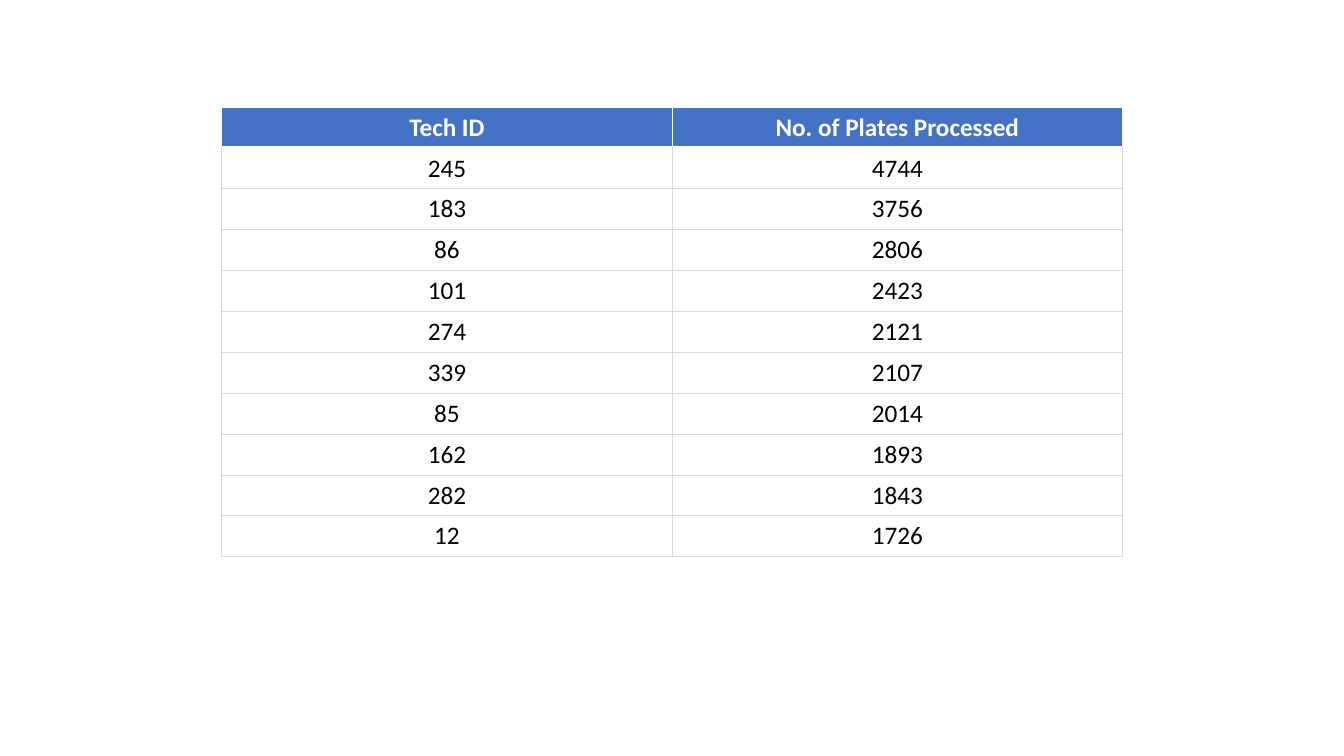
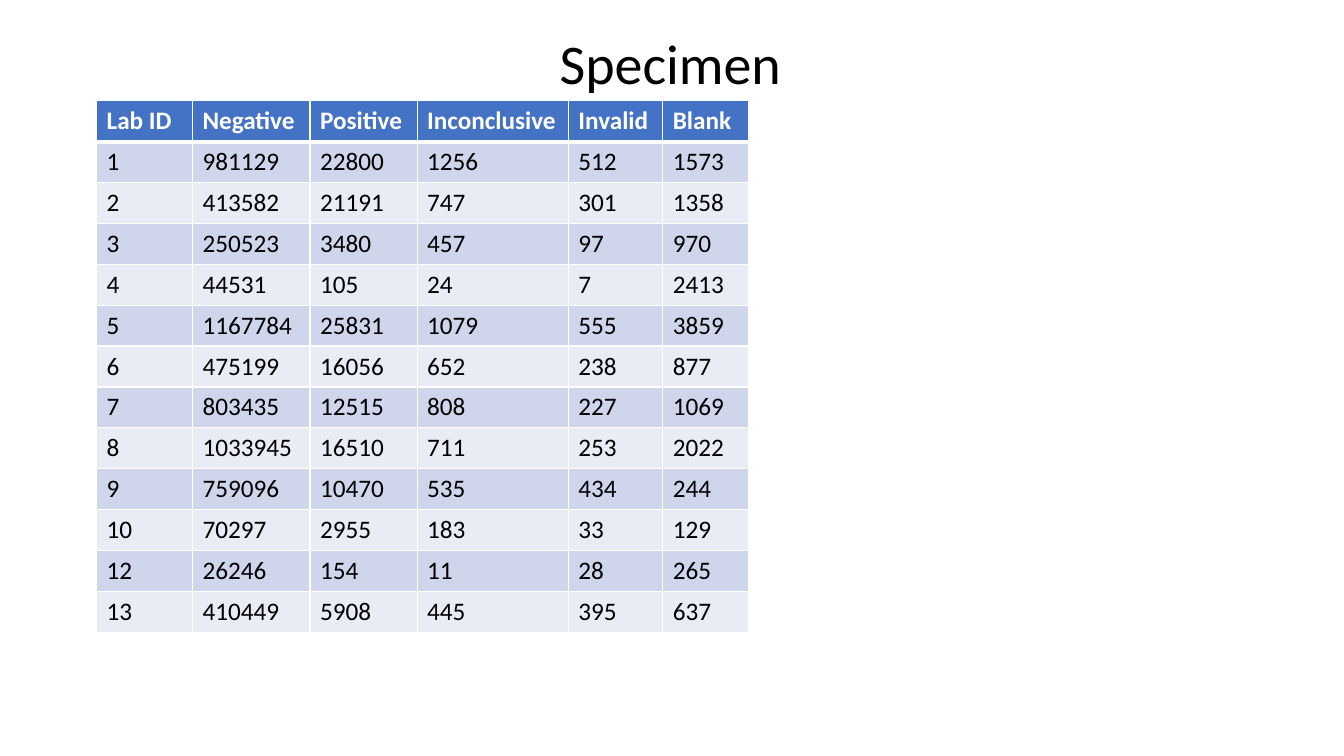
from lxml import etree
from pptx import Presentation
from pptx.dml.color import RGBColor
from pptx.enum.text import MSO_ANCHOR, PP_ALIGN
from pptx.oxml.ns import qn
from pptx.util import Pt

LEFT, CENTER = PP_ALIGN.LEFT, PP_ALIGN.CENTER
TOP, MIDDLE = MSO_ANCHOR.TOP, MSO_ANCHOR.MIDDLE

WHITE = RGBColor(0xFF, 0xFF, 0xFF)
BLACK = RGBColor(0x00, 0x00, 0x00)
BLUE = RGBColor(0x44, 0x72, 0xC4)
GRAY = RGBColor(0xD6, 0xDA, 0xDC)
DARK = RGBColor(0xCF, 0xD5, 0xEA)
LIGHT = RGBColor(0xE9, 0xEB, 0xF5)

FONT = "Calibri"
WIDE, HIGH = 960, 540
ROW = 29.2

PLATES = [
    ("Tech ID", "No. of Plates Processed"),
    (245, 4744),
    (183, 3756),
    (86, 2806),
    (101, 2423),
    (274, 2121),
    (339, 2107),
    (85, 2014),
    (162, 1893),
    (282, 1843),
    (12, 1726),
]
LABS = [
    ("Lab ID", "Negative", "Positive", "Inconclusive", "Invalid", "Blank"),
    (1, 981129, 22800, 1256, 512, 1573),
    (2, 413582, 21191, 747, 301, 1358),
    (3, 250523, 3480, 457, 97, 970),
    (4, 44531, 105, 24, 7, 2413),
    (5, 1167784, 25831, 1079, 555, 3859),
    (6, 475199, 16056, 652, 238, 877),
    (7, 803435, 12515, 808, 227, 1069),
    (8, 1033945, 16510, 711, 253, 2022),
    (9, 759096, 10470, 535, 434, 244),
    (10, 70297, 2955, 183, 33, 129),
    (12, 26246, 154, 11, 28, 265),
    (13, 410449, 5908, 445, 395, 637),
]
# Body looks: cap is the width of the white line under the header.
PLAIN = {"fills": [WHITE], "line": (GRAY, 0.75), "cap": 1,
         "align": CENTER, "anchor": MIDDLE}
BANDED = {"fills": [DARK, LIGHT], "line": (WHITE, 1), "cap": 3,
          "align": LEFT, "anchor": TOP}


def write(frame, text, align, **style):
    para = frame.paragraphs[0]
    para.alignment = align
    run = para.add_run()
    run.text = str(text)
    run.font.name = FONT
    run.font.color.rgb = style.pop("color")
    for name, value in style.items():
        setattr(run.font, name, value)


def edge(cell, sides):
    """Draw cell borders; sides maps L, R, T, B (in that order) to color and width."""
    props = cell._tc.get_or_add_tcPr()
    for side, (color, width) in sides.items():
        line = etree.SubElement(props, qn("a:ln" + side), w=str(Pt(width)))
        fill = etree.SubElement(line, qn("a:solidFill"))
        etree.SubElement(fill, qn("a:srgbClr"), val=str(color))


def grid(slide, left, top, cols, rows, look):
    table = slide.shapes.add_table(
        len(rows), len(cols), Pt(left), Pt(top),
        Pt(sum(cols)), Pt(ROW * len(rows))).table
    for col, width in zip(table.columns, cols):
        col.width = Pt(width)
    for r, values in enumerate(rows):
        table.rows[r].height = Pt(ROW)
        head = r == 0
        sides = dict.fromkeys("LRTB", (WHITE, 1) if head else look["line"])
        if head:
            sides["B"] = (WHITE, 3)
        elif r == 1:
            sides["T"] = (WHITE, look["cap"])
        fills = look["fills"]
        fill = BLUE if head else fills[(r - 1) % len(fills)]
        for c, value in enumerate(values):
            cell = table.cell(r, c)
            edge(cell, sides)
            cell.fill.solid()
            cell.fill.fore_color.rgb = fill
            cell.vertical_anchor = TOP if head else look["anchor"]
            write(cell.text_frame, value, look["align"], size=Pt(18),
                  bold=head, color=WHITE if head else BLACK)


def title(slide, text, left, top, width, height):
    box = slide.shapes.add_textbox(Pt(left), Pt(top), Pt(width), Pt(height))
    box.text_frame.word_wrap = True
    write(box.text_frame, text, CENTER, size=Pt(40), color=BLACK)


def main():
    deck = Presentation()
    deck.slide_width, deck.slide_height = Pt(WIDE), Pt(HIGH)
    blank = deck.slide_layouts[6]

    plates = deck.slides.add_slide(blank)
    grid(plates, 158.4, 76.5, [321.75] * 2, PLATES, PLAIN)

    labs = deck.slides.add_slide(blank)
    grid(labs, 69, 72, [68.5, 84, 76.5, 108, 67.5, 61.5], LABS, BANDED)
    title(labs, "Specimen", 0, 16.5, 957.6, 55.5)

    deck.save("out.pptx")


if __name__ == "__main__":
    main()
